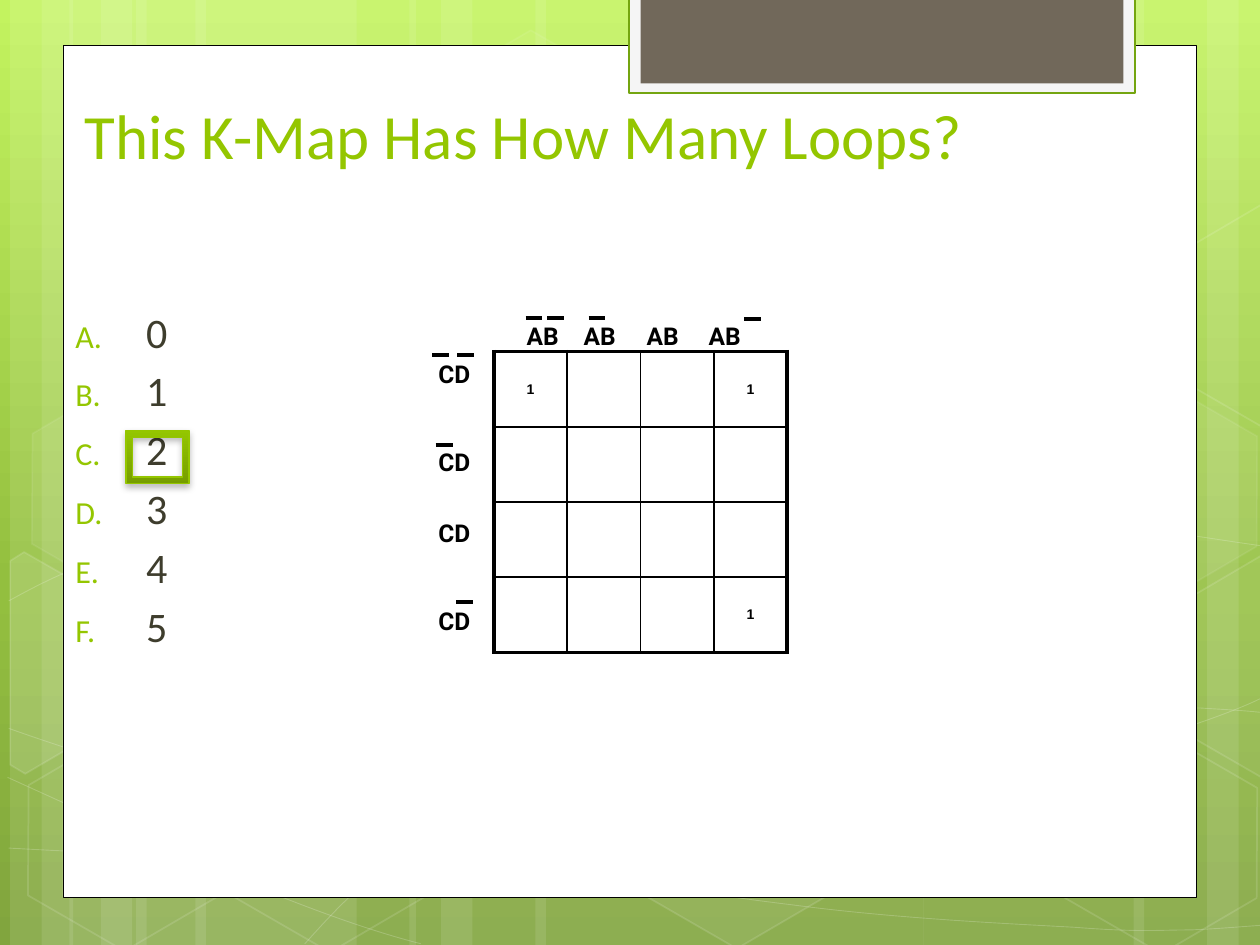
import copy
import math
from dataclasses import dataclass

import pptx
import pptx.dml.color
import pptx.enum.shapes
import pptx.enum.text
import pptx.oxml.ns
import pptx.util
from lxml import etree

Pt = pptx.util.Pt
RGB = pptx.dml.color.RGBColor.from_string
qn = pptx.oxml.ns.qn
SHAPE = pptx.enum.shapes.MSO_SHAPE
ANCHOR = pptx.enum.text.MSO_ANCHOR
ALIGN = pptx.enum.text.PP_ALIGN


@dataclass(frozen=True)
class Theme:
    lime: str = "94C600"
    dark_lime: str = "769D00"
    tab_edge: str = "74A510"
    tab_rim: str = "F5F5F5"
    tab: str = "71685A"
    ink: str = "3E3D2D"
    black: str = "000000"
    white: str = "FFFFFF"
    backdrop: tuple = ((0, "C3F35F"), (0.62, "93BF3F"), (1, "81A53E"))
    title_size: float = 36
    answer_size: float = 24
    label_size: float = 14
    cell_size: float = 8


@dataclass(frozen=True)
class Box:
    x: float
    y: float
    w: float
    h: float

    def lengths(self) -> list:
        return [Pt(v) for v in (self.x, self.y, self.w, self.h)]


@dataclass(frozen=True)
class Paint:
    fill: str | None = None
    fill_opacity: int = 100
    line: str | None = None
    width: float = 1
    line_opacity: int = 100


THEME = Theme()


def child(parent, tag: str, **attributes):
    return etree.SubElement(parent, qn(tag), {k: str(v) for k, v in attributes.items()})


def paint(shape, look: Paint) -> None:
    shape.shadow.inherit = False
    for target, color, opacity in ((shape.fill, look.fill, look.fill_opacity),
                                   (shape.line.fill, look.line, look.line_opacity)):
        if color is None:
            target.background()
            continue
        target.solid()
        target.fore_color.rgb = RGB(color)
        if opacity < 100:
            holder = shape.element.spPr if target is shape.fill else shape.element.spPr.find(qn("a:ln"))
            child(holder.find(qn("a:solidFill"))[0], "a:alpha", val=opacity * 1000)
    if look.line:
        shape.line.width = Pt(look.width)


def draw_shape(slide, kind, box: Box, look: Paint, rotation: float = 0):
    shape = slide.shapes.add_shape(kind, *box.lengths())
    shape.rotation = rotation
    paint(shape, look)
    return shape


def draw_outline(slide, points: list, look: Paint, close: bool):
    (x, y), *rest = [(Pt(px), Pt(py)) for px, py in points]
    builder = slide.shapes.build_freeform(x, y)
    builder.add_line_segments(rest, close=close)
    outline = builder.convert_to_shape()
    paint(outline, look)
    return outline


def draw_curve(slide, knots: list, look: Paint) -> None:
    """Joined cubic curves: a start, then three knots per curve."""
    outline = draw_outline(slide, knots, look, close=False)
    segments = outline.element.findall(".//" + qn("a:lnTo"))
    for i in range(0, len(segments), 3):
        curve = etree.Element(qn("a:cubicBezTo"))
        segments[i].addprevious(curve)
        for segment in segments[i:i + 3]:
            curve.append(segment[0])
            segment.getparent().remove(segment)


def draw_tilted(slide, points: list, center: tuple, look: Paint, angle: float = 30) -> None:
    """An outline given as it shows, kept as an upright shape turned by the angle."""
    cos, sin = math.cos(math.radians(angle)), math.sin(math.radians(angle))
    cx, cy = center
    upright = [(cx + (x - cx) * cos + (y - cy) * sin, cy - (x - cx) * sin + (y - cy) * cos)
               for x, y in points]
    draw_outline(slide, upright, look, close=True).rotation = angle


def set_gradient(fill, element, stops) -> None:
    fill.gradient()
    fill.gradient_angle = 270
    gradient = element.find(".//" + qn("a:gsLst"))
    while len(gradient) < len(stops):
        gradient.append(copy.deepcopy(gradient[-1]))
    for stop, (position, color) in zip(fill.gradient_stops, stops):
        stop.position = position
        stop.color.rgb = RGB(color)


def write(paragraph, text: str, color: str, size: float, **formats) -> None:
    run = paragraph.add_run()
    run.text = text
    for name, value in {"size": Pt(size), **formats}.items():
        setattr(run.font, name, value)
    run.font.color.rgb = RGB(color)


def add_text_frame(slide, box: Box):
    frame = slide.shapes.add_textbox(*box.lengths()).text_frame
    frame.word_wrap = True
    return frame


def draw_overbar(slide, x: float, y: float) -> None:
    bar = slide.shapes.add_connector(pptx.enum.shapes.MSO_CONNECTOR.STRAIGHT,
                                     Pt(x), Pt(y), Pt(x + 9.6), Pt(y))
    bar.line.color.rgb = RGB(THEME.black)
    bar.line.width = Pt(2.25)
    child(bar.element.spPr, "a:effectLst")


def set_borders(cell, row: int, column: int, last: int) -> None:
    properties = cell._tc.get_or_add_tcPr()
    outer = {"a:lnL": column == 0, "a:lnR": column == last, "a:lnT": row == 0, "a:lnB": row == last}
    for i, (tag, is_outer) in enumerate(outer.items()):
        border = etree.Element(qn(tag), {"w": str(Pt(2.25 if is_outer else 1))})
        child(child(border, "a:solidFill"), "a:srgbClr", val=THEME.black)
        properties.insert(i, border)


def draw_backdrop(slide) -> None:
    set_gradient(slide.background.fill, slide.element, THEME.backdrop)
    # Pale vertical bands, in trios
    for x, width, mirrored in ((77.8, 126, False), (111.6, 126, False),
                               (527.8, 126, True), (306, 222, False)):
        for shift, w in ((0, width), (72, 36), (54, 60)):
            left = x + width + shift - w if mirrored else x - shift
            draw_shape(slide, SHAPE.RECTANGLE, Box(left, 0, w, 540), Paint(THEME.white, 10),
                       180 if mirrored else 0)
    # Sweeping curves
    for knots in (
        [(5, 484.6), (43.9, 486.7), (82.8, 488.9), (136.8, 488.2), (190.8, 487.4), (257.8, 486),
         (329.8, 478.8), (401.8, 471.6), (504, 457.9), (570.2, 444.2), (635.8, 430.6),
         (703.4, 409), (725, 396.7)],
        [(5, 343.4), (25.9, 331.9), (46.8, 321.1), (87.1, 310.3), (128.2, 299.5), (186.5, 283.7),
         (249.8, 278.6), (313.9, 273.6), (391.7, 272.9), (470.9, 278.6), (550.1, 284.4),
         (681.8, 306.7), (725, 312.5)],
        [(4.3, 444.2), (91.4, 483.8), (177.8, 523.4), (240.5, 539.3)],
        [(5, 416.2), (27.4, 424.1), (50.4, 432), (92.2, 443.5), (133.9, 454.3), (196.6, 472.3),
         (257, 484.6), (316.8, 496.8), (392.4, 509.8), (452.2, 517), (511.9, 524.9), (576, 527.8),
         (614.2, 529.9), (651.6, 532.8), (661.7, 531.4), (680.4, 531.4), (699.1, 530.6),
         (712.1, 529.2), (725, 528.5)],
        [(174.2, 539.3), (187.2, 524.9), (200.2, 510.5), (217.4, 497.5), (234.7, 484.6),
         (259.2, 470.2), (279.4, 460.1), (299.5, 450), (311.8, 445.7), (338.4, 438.5),
         (364.3, 431.3), (412.6, 421.2), (437.8, 416.2), (463.7, 411.1), (467.3, 411.1),
         (489.6, 409.7), (511.9, 407.5), (547.2, 405.4), (571.7, 404.6), (596.9, 403.9),
         (637.9, 404.6), (637.9, 404.6), (654, 404.6), (670, 404.6), (686.2, 404.6),
         (699.1, 405.4), (711.4, 406.1), (717.8, 406.8), (724.3, 407.5), (722.2, 406.8),
         (724.3, 407.5)],
    ):
        draw_curve(slide, knots, Paint(None, 100, THEME.white, 0.5, 20))
    # Whole hexagons, then those cut by the slide edge
    for x, y, fill, edge in ((240.5, 25.9, 4, 8), (357.8, 424.1, 6, 12), (7.9, 425.5, 0, 12),
                             (10.1, 224.6, 7, 8), (125.3, 426.2, 0, 12), (542.2, 326.2, 10, 12),
                             (600.5, 427, 0, 12), (600.5, 226.1, 7, 8)):
        look = Paint(THEME.white if fill else None, fill, THEME.white, 1, edge)
        hexagon = draw_shape(slide, SHAPE.HEXAGON, Box(x, y, 126, 109.4), look, 30)
        hexagon.adjustments[0], hexagon.adjustments[1] = 0.285, 1.155
    left_cut = [(5.8, 320.4), (13.7, 315.4), (69.1, 347), (68.4, 410.4), (14.4, 442.1), (5.8, 437)]
    right_cut = [(666.7, 349.2), (720.7, 317.5), (726.5, 321.1), (726.5, 441.4), (721.4, 444.2),
                 (666.7, 412.6)]
    upper_cut = [(x, y - 200.5) for x, y in right_cut]
    for points, center, fill in ((left_cut, (25.9, 385.2), 10), (right_cut, (709.2, 374.4), 4),
                                 (upper_cut, (709.2, 173.9), 0)):
        look = Paint(THEME.white if fill else None, fill, THEME.white, 1, 12)
        draw_tilted(slide, points, center, look)
    # White page and the tab hanging from the top
    for box, look in ((Box(36, 25.9, 648, 487), Paint(THEME.white, line=THEME.black, width=0.5)),
                      (Box(359.2, -1.4, 289.4, 54.7),
                       Paint(THEME.tab_rim, line=THEME.tab_edge, width=1.25)),
                      (Box(366, -1.4, 276, 49), Paint(THEME.tab))):
        draw_shape(slide, SHAPE.RECTANGLE, box, look)


def draw_title(slide, text: str) -> None:
    title = slide.shapes.title
    slide.shapes.element.append(title.element)  # in front of the page
    title.left, title.top, title.width, title.height = Box(41, 12.2, 553, 90).lengths()
    title.text_frame.vertical_anchor = ANCHOR.BOTTOM
    heading = title.text_frame.paragraphs[0]
    heading.alignment = ALIGN.LEFT
    write(heading, text, THEME.lime, THEME.title_size, name="Calibri")


def draw_answers(slide, answers: str) -> None:
    frame = add_text_frame(slide, Box(36, 171.4, 324, 356.4))
    for i, answer in enumerate(answers):
        line = frame.add_paragraph() if i else frame.paragraphs[0]
        properties = line._p.get_or_add_pPr()
        properties.set("marL", str(Pt(40.5)))
        properties.set("indent", str(Pt(-40.5)))
        child(child(properties, "a:buClr"), "a:srgbClr", val=THEME.lime)
        child(properties, "a:buSzPct", val=76000)
        child(properties, "a:buAutoNum", type="alphaUcPeriod")
        line.space_before = Pt(4.8 if i else 0)
        write(line, answer, THEME.ink, THEME.answer_size, name="Calibri")


def draw_kmap(slide, ones: set, size: int = 4) -> None:
    box = Box(282.2, 200.9, 41.9 * size, 43 * size)
    grid = slide.shapes.add_table(size, size, *box.lengths()).table
    grid.first_row = grid.horz_banding = False
    for row in range(size):
        grid.rows[row].height = Pt(43)
        grid.columns[row].width = Pt(41.9)
        for column in range(size):
            cell = grid.cell(row, column)
            cell.fill.background()
            cell.vertical_anchor = ANCHOR.MIDDLE
            set_borders(cell, row, column, size - 1)
            if (row, column) in ones:
                term = cell.text_frame.paragraphs[0]
                term.alignment = ALIGN.CENTER
                write(term, "1", THEME.black, THEME.cell_size, name="Arial", bold=True)


def draw_kmap_labels(slide) -> None:
    label = {"color": THEME.black, "size": THEME.label_size, "name": "Roboto", "bold": True}
    # Column terms, spaced by tab stops
    columns = add_text_frame(slide, Box(293.8, 180, 150, 24)).paragraphs[0]
    stops = child(columns._p.get_or_add_pPr(), "a:tabLst")
    for stop in (32.6, 68.6, 104):
        child(stops, "a:tab", pos=Pt(stop), algn="l")
    write(columns, "\t".join(["AB"] * 4), **label)
    for x, y in ((300.4, 181.6), (312.6, 181.6), (336.4, 181.6), (425.4, 182.2)):
        draw_overbar(slide, x, y)
    # Row terms, spaced by paragraph spacing
    rows = add_text_frame(slide, Box(243.4, 207.4, 34.6, 157))
    for i, gap in enumerate((0, 40.4, 30.2, 40.4)):
        term = rows.add_paragraph() if i else rows.paragraphs[0]
        term.line_spacing = 0.6
        term.space_before = Pt(gap)
        write(term, "CD", **label)
    for x, y in ((247, 203), (261.4, 203), (249, 254.2), (260.8, 344.2)):
        draw_overbar(slide, x, y)


def draw_answer_frame(slide) -> None:
    marker = draw_shape(slide, SHAPE.FRAME, Box(72, 246.2, 36, 30.2),
                        Paint(THEME.lime, line=THEME.lime, width=0.75))
    set_gradient(marker.fill, marker.element, ((0, THEME.lime), (1, THEME.dark_lime)))
    shadow = child(marker.element.spPr.find(qn("a:effectLst")), "a:outerShdw",
                   blurRad=Pt(4), dist=Pt(2), dir=5400000, rotWithShape=0)
    child(child(shadow, "a:srgbClr", val=THEME.black), "a:alpha", val=28000)


def main() -> None:
    deck = pptx.Presentation()
    deck.slide_width, deck.slide_height = Pt(720), Pt(540)
    slide = deck.slides.add_slide(deck.slide_layouts.get_by_name("Title Only"))
    draw_backdrop(slide)
    draw_title(slide, "This K-Map Has How Many Loops?")
    draw_answers(slide, "012345")
    draw_kmap(slide, {(0, 0), (0, 3), (3, 3)})
    draw_kmap_labels(slide)
    draw_answer_frame(slide)
    deck.save("out.pptx")


if __name__ == "__main__":
    main()
